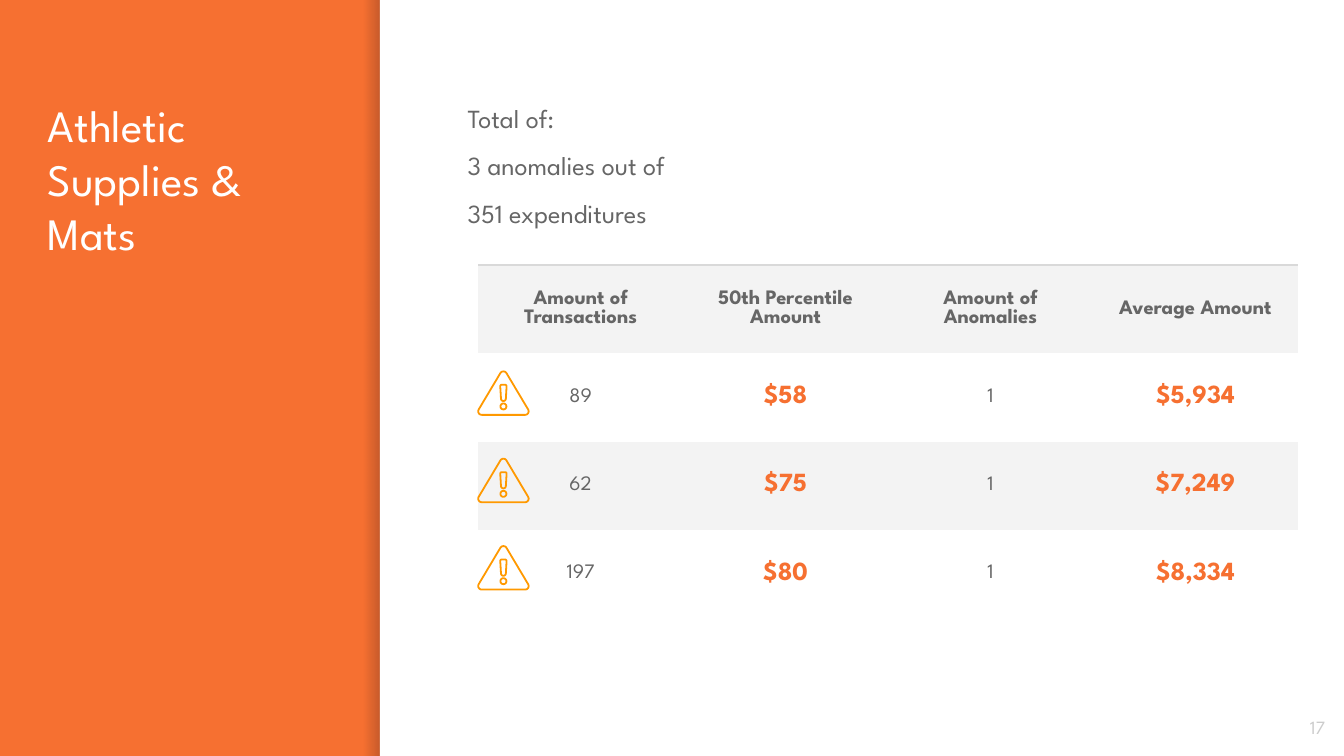
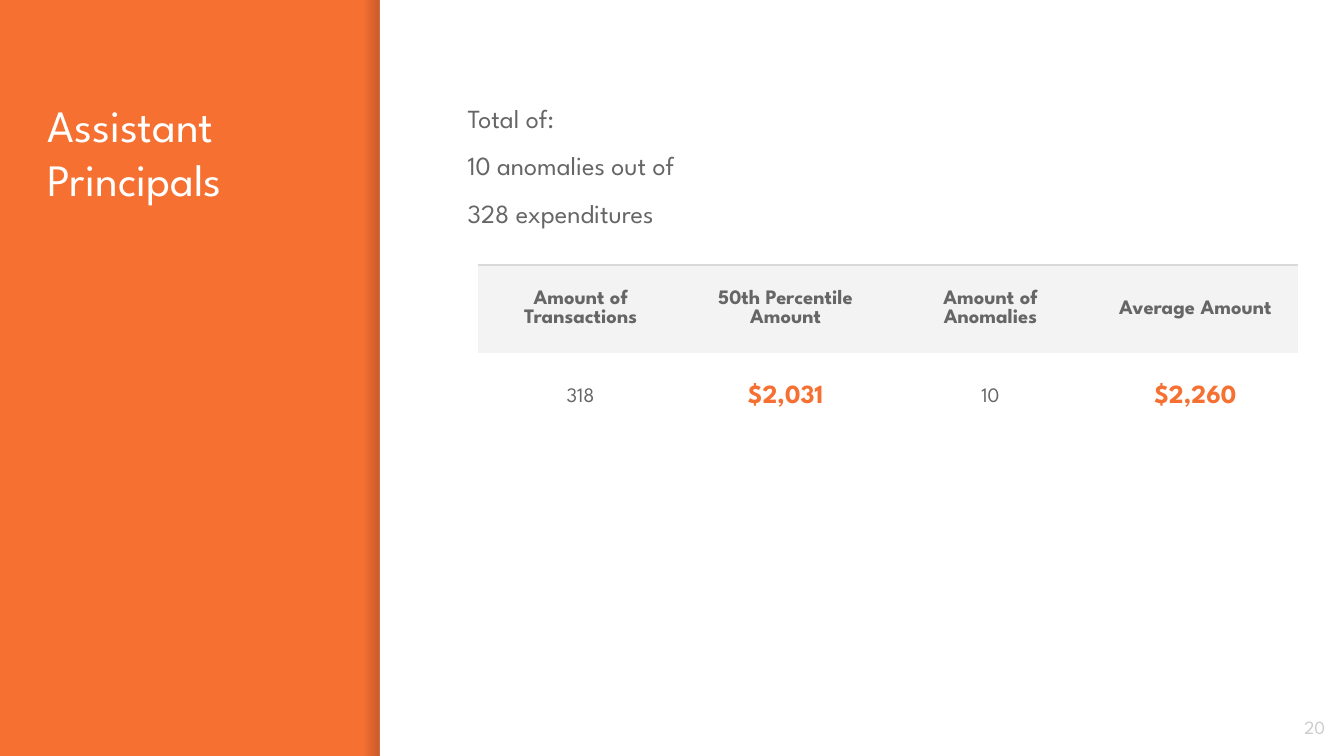
from math import cos, radians, sin
from typing import NamedTuple

from lxml.etree import SubElement
from pptx import Presentation
from pptx.dml.color import RGBColor
from pptx.enum.shapes import MSO_SHAPE
from pptx.enum.text import MSO_ANCHOR, PP_ALIGN
from pptx.oxml.ns import qn
from pptx.util import Pt

FONT = "League Spartan"
ORANGE, AMBER, WHITE = "F67031", "FF9900", "FFFFFF"
GRAY, PALE, RULE, FAINT = "666666", "F3F3F3", "D9D9D9", "CCCCCC"
SHADE = "000014"

WIDTH, HEIGHT = 720, 405
SPLIT = 203.5
TABLE_LEFT, TABLE_TOP = 256.2, 142
COL, ROW = 109.8, 47.3
ICON_TOP, ICON_STEP = 199, 46.8
NO_GRID = "{2D5ABB26-0587-4C30-8999-92F81FD0307C}"
HEADS = ("Amount of Transactions", "50th Percentile Amount",
         "Amount of Anomalies", "Average Amount")


class Box(NamedTuple):
    left: float
    top: float
    width: float
    height: float


class Style(NamedTuple):
    size: float
    color: str
    bold: bool = False
    align: PP_ALIGN = PP_ALIGN.LEFT


class Arc(NamedTuple):
    x: float
    y: float
    radius: float
    start: int
    end: int


class Page(NamedTuple):
    title: str
    found: int
    total: int
    rows: list[tuple[str, ...]]
    number: int
    warn: bool = False


TITLE = Style(24, WHITE)
BODY = Style(14, GRAY)
NUMBER = Style(10, FAINT, align=PP_ALIGN.RIGHT)
HEAD = Style(11, GRAY, True, PP_ALIGN.CENTER)
COUNT = Style(11, GRAY, False, PP_ALIGN.CENTER)
MONEY = Style(14, ORANGE, True, PP_ALIGN.CENTER)

# Outlines of the warning sign: triangle, dot and stroke
SIGN = (
    (Arc(13.5, 1.9, 1.9, 210, 330), Arc(25.1, 21.4, 1.9, 330, 450),
     Arc(1.9, 21.4, 1.9, 90, 210)),
    (Arc(13.5, 18.8, 1.6, 0, 360),),
    (Arc(12.6, 8, 0.8, 180, 270), Arc(14.4, 8, 0.8, 270, 360),
     Arc(13.5, 14.6, 1.3, 0, 180)),
)

PAGES = (
    Page("Athletic Supplies & Mats", 3, 351,
         [("89", "$58", "1", "$5,934"),
          ("62", "$75", "1", "$7,249"),
          ("197", "$80", "1", "$8,334")], 17, warn=True),
    Page("Assistant Principals", 10, 328,
         [("318", "$2,031", "10", "$2,260")], 20),
)


def rgb(color: str) -> RGBColor:
    return RGBColor.from_string(color)


def lengths(box: Box) -> list[Pt]:
    return [Pt(side) for side in box]


def write(frame, lines: list[str], style: Style) -> None:
    for i, line in enumerate(lines):
        para = frame.paragraphs[0] if i == 0 else frame.add_paragraph()
        para.text = line
        para.alignment = style.align
        font = para.font
        font.name, font.size, font.bold = FONT, Pt(style.size), style.bold
        font.color.rgb = rgb(style.color)


def add_text(slide, box: Box, lines: list[str], style: Style,
             anchor: MSO_ANCHOR = MSO_ANCHOR.TOP):
    frame = slide.shapes.add_textbox(*lengths(box)).text_frame
    frame.word_wrap = True
    frame.vertical_anchor = anchor
    frame.margin_left = frame.margin_right = Pt(7.2)
    frame.margin_top = frame.margin_bottom = Pt(7.2)
    write(frame, lines, style)
    return frame


def add_panel(slide, box: Box):
    panel = slide.shapes.add_shape(MSO_SHAPE.RECTANGLE, *lengths(box))
    panel.shadow.inherit = False
    panel.line.fill.background()
    return panel


def add_base(slide) -> None:
    """Orange side band, the soft shade at its edge, and the white page."""
    fill = slide.background.fill
    fill.solid()
    fill.fore_color.rgb = rgb(ORANGE)

    shade = add_panel(slide, Box(194.5, 0, 9, HEIGHT)).fill
    shade.gradient()
    shade.gradient_angle = 0
    for stop, place, alpha in zip(shade.gradient_stops, (0, 1), (0, 20000)):
        stop.position = place
        stop.color.rgb = rgb(SHADE)
    for node, alpha in zip(shade._xPr.iter(qn("a:srgbClr")), (0, 20000)):
        SubElement(node, qn("a:alpha")).set("val", str(alpha))

    sheet = add_panel(slide, Box(SPLIT, 0, WIDTH - SPLIT, HEIGHT)).fill
    sheet.solid()
    sheet.fore_color.rgb = rgb(WHITE)


def rule_top(cell) -> None:
    props = cell._tc.get_or_add_tcPr()
    line = SubElement(props, qn("a:lnT"))
    line.set("w", str(Pt(0.75)))
    fill = SubElement(line, qn("a:solidFill"))
    SubElement(fill, qn("a:srgbClr")).set("val", RULE)


def add_grid(slide, rows: list[tuple[str, ...]]) -> None:
    rows = [HEADS, *rows]
    box = Box(TABLE_LEFT, TABLE_TOP, COL * len(HEADS), ROW * len(rows))
    table = slide.shapes.add_table(len(rows), len(HEADS), *lengths(box)).table
    table.first_row = table.horz_banding = False
    table._tbl.tblPr.find(qn("a:tableStyleId")).text = NO_GRID
    for row in table.rows:
        row.height = Pt(ROW)
    for r, row in enumerate(rows):
        for c, text in enumerate(row):
            cell = table.cell(r, c)
            cell.vertical_anchor = MSO_ANCHOR.MIDDLE
            cell.margin_left = cell.margin_right = Pt(7.2)
            cell.margin_top = cell.margin_bottom = Pt(5)
            style = HEAD if r == 0 else MONEY if c % 2 else COUNT
            write(cell.text_frame, [text], style)
            if r == 0:
                rule_top(cell)
            if r % 2:
                cell.fill.background()
            else:
                cell.fill.solid()
                cell.fill.fore_color.rgb = rgb(PALE)


def trace(arcs: tuple[Arc, ...]) -> list[tuple[Pt, Pt]]:
    """Points along the arcs, one every 15 degrees."""
    return [(Pt(arc.x + arc.radius * cos(radians(turn))),
             Pt(arc.y + arc.radius * sin(radians(turn))))
            for arc in arcs for turn in range(arc.start, arc.end + 1, 15)]


def add_sign(slide, left: float, top: float) -> None:
    first, *others = map(trace, SIGN)
    pen = slide.shapes.build_freeform(*first[0])
    pen.add_line_segments(first[1:], close=True)
    for points in others:
        pen.move_to(*points[0])
        pen.add_line_segments(points[1:], close=True)
    sign = pen.convert_to_shape(Pt(left), Pt(top))
    sign.shadow.inherit = False
    sign.fill.background()
    sign.line.color.rgb = rgb(AMBER)
    sign.line.width = Pt(0.96)


def add_page(deck, page: Page) -> None:
    slide = deck.slides.add_slide(deck.slide_layouts[6])
    add_base(slide)
    add_text(slide, Box(18.5, 45.2, 161.5, 313), [page.title], TITLE)
    add_grid(slide, page.rows)
    add_text(slide, Box(673.8, 373.8, 43.2, 31), [str(page.number)], NUMBER,
             MSO_ANCHOR.MIDDLE)
    lines = ["Total of:", f"{page.found} anomalies out of",
             f"{page.total} expenditures"]
    body = add_text(slide, Box(243.4, 45.2, 440.6, 83.5), lines, BODY)
    for i, para in enumerate(body.paragraphs):
        para.line_spacing = 1.15
        para.space_before = Pt(6 if i else 0)
    if page.warn:
        for i in range(len(page.rows)):
            add_sign(slide, TABLE_LEFT, ICON_TOP + i * ICON_STEP)


def main() -> None:
    deck = Presentation()
    deck.slide_width, deck.slide_height = Pt(WIDTH), Pt(HEIGHT)
    for page in PAGES:
        add_page(deck, page)
    deck.save("out.pptx")


if __name__ == "__main__":
    main()
